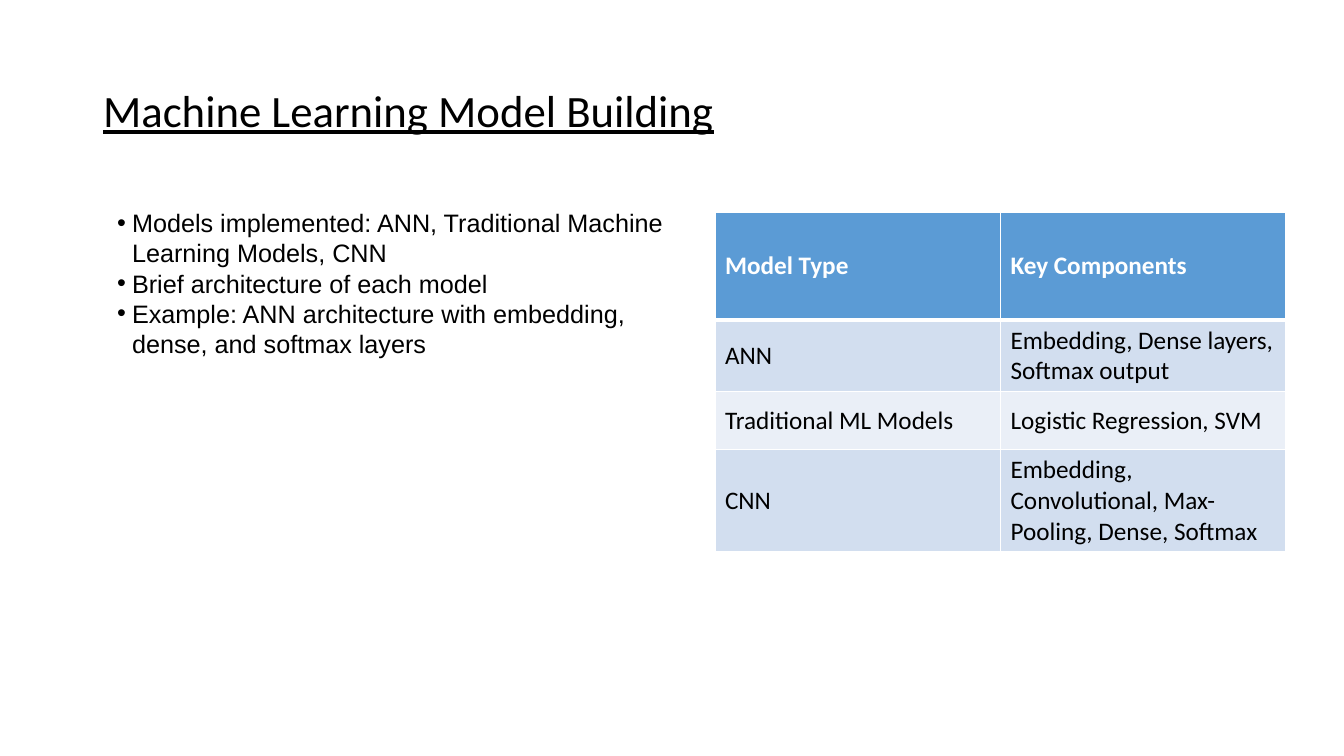
from dataclasses import dataclass

from lxml.etree import SubElement
from pptx import Presentation
from pptx.dml.color import RGBColor as Rgb
from pptx.enum.text import MSO_ANCHOR as Anchor, MSO_AUTO_SIZE as Fit, PP_ALIGN as Align
from pptx.oxml.ns import qn
from pptx.util import Pt

PX = 914400 / 100.8


@dataclass(frozen=True)
class Theme:
    ink: str = "000000"
    white: str = "FFFFFF"
    head: str = "5B9BD5"
    bands: tuple = ("D2DEEF", "EAEFF7")
    sans: str = "Calibri"
    list_font: str = "Arial"
    title: int = 32
    body: int = 18
    pitch: float = 21.6


THEME = Theme()

POINTS = (
    "Models implemented: ANN, Traditional Machine Learning Models, CNN",
    "Brief architecture of each model",
    "Example: ANN architecture with embedding, dense, and softmax layers",
)
MODELS = (
    ("Model Type", "Key Components"),
    ("ANN", "Embedding, Dense layers, Softmax output"),
    ("Traditional ML Models", "Logistic Regression, SVM"),
    ("CNN", "Embedding, Convolutional, Max-Pooling, Dense, Softmax"),
)


def px(n):
    return round(n * PX)


def place(shape, left, top, width, height):
    shape.left, shape.top = px(left), px(top)
    shape.width, shape.height = px(width), px(height)


def add_run(para, text, size, font=THEME.sans, color=THEME.ink, bold=False):
    run = para.add_run()
    run.text = text
    face = run.font
    face.name, face.size, face.bold = font, Pt(size), bold
    face.color.rgb = Rgb.from_string(color)
    return run


def set_title(shape, text):
    place(shape, 93, 40, 1159, 146)
    shape.text_frame.vertical_anchor = Anchor.MIDDLE
    para = shape.text_frame.paragraphs[0]
    para.alignment, para.line_spacing = Align.LEFT, 0.9
    add_run(para, text, THEME.title).font.underline = True


def set_list(shape, points):
    place(shape, 107, 171, 573, 224)
    frame = shape.text_frame
    frame.word_wrap, frame.auto_size = True, Fit.NONE
    frame.vertical_anchor = Anchor.MIDDLE
    for i, text in enumerate(points):
        para = frame.add_paragraph() if i else frame.paragraphs[0]
        para.alignment, para.line_spacing = Align.LEFT, Pt(THEME.pitch)
        para.space_before = para.space_after = Pt(0)
        props = para._p.get_or_add_pPr()
        props.set("marL", str(px(15)))
        props.set("indent", str(-px(15)))
        SubElement(props, qn("a:buFont"), typeface=THEME.list_font)
        SubElement(props, qn("a:buChar"), char="•")
        add_run(para, text, THEME.body, THEME.list_font)


def set_edges(cell, base):
    """Draw white cell borders; base is the width in points of the bottom one."""
    props = cell._tc.get_or_add_tcPr()
    for i, (side, width) in enumerate((("L", 1), ("R", 1), ("T", 1), ("B", base))):
        line = SubElement(props, qn(f"a:ln{side}"), w=str(Pt(width)))
        fill = SubElement(line, qn("a:solidFill"))
        SubElement(fill, qn("a:srgbClr"), val=THEME.white)
        props.insert(i, line)


def add_grid(slide, rows):
    box = [px(n) for n in (715, 212, 571, 337)]
    table = slide.shapes.add_table(len(rows), len(rows[0]), *box).table
    table.horz_banding = False
    for r, texts in enumerate(rows):
        head = r == 0
        table.rows[r].height = px(108 if head else 58)
        for c, text in enumerate(texts):
            cell = table.cell(r, c)
            cell.vertical_anchor = Anchor.MIDDLE
            cell.fill.solid()
            shade = THEME.head if head else THEME.bands[(r - 1) % 2]
            cell.fill.fore_color.rgb = Rgb.from_string(shade)
            color = THEME.white if head else THEME.ink
            add_run(cell.text_frame.paragraphs[0], text, THEME.body, color=color, bold=head)
            set_edges(cell, 3 if head else 1)


def main():
    deck = Presentation()
    deck.slide_width, deck.slide_height = px(1344), px(756)
    slide = deck.slides.add_slide(deck.slide_layouts[1])
    set_title(slide.shapes.title, "Machine Learning Model Building")
    add_grid(slide, MODELS)
    set_list(slide.placeholders[1], POINTS)
    deck.save("out.pptx")


if __name__ == "__main__":
    main()
